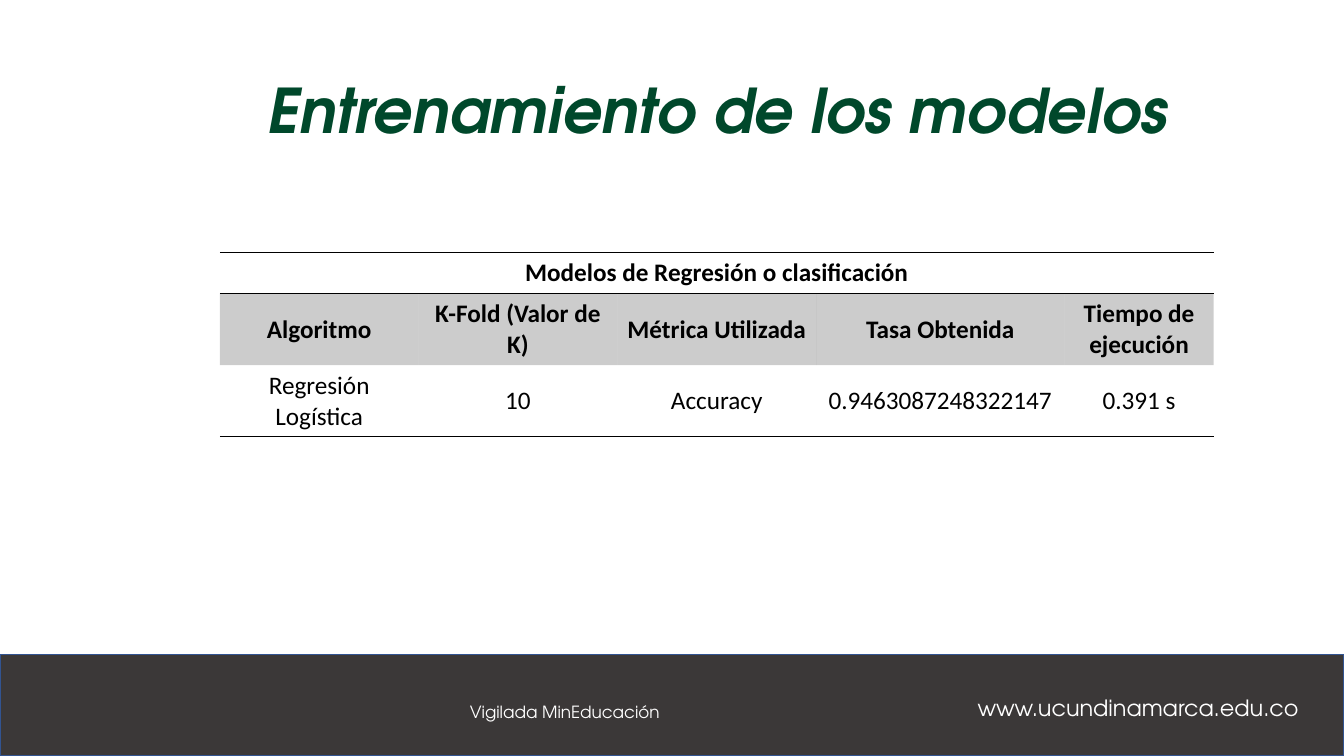
from lxml import etree
from pptx import Presentation
from pptx.dml.color import RGBColor
from pptx.enum.shapes import MSO_SHAPE
from pptx.enum.text import MSO_ANCHOR, PP_ALIGN
from pptx.oxml import parse_xml
from pptx.oxml.ns import nsdecls, qn
from pptx.util import Pt

RECT = MSO_SHAPE.RECTANGLE
MIDDLE, TOP = MSO_ANCHOR.MIDDLE, MSO_ANCHOR.TOP
LEFT, CENTER = PP_ALIGN.LEFT, PP_ALIGN.CENTER
COLORS = {"green": "00482B", "dark": "3B3838", "edge": "325491",
          "white": "FFFFFF", "black": "000000"}
NO_STYLE = "{2D5ABB26-0587-4C30-8999-92F81FD0307C}"


class Page:
    head_font = "TeX Gyre Adventor"
    cell_font = "Calibri"

    def __init__(self, slide):
        self.slide = slide

    def color(self, name):
        return RGBColor.from_string(COLORS[name])

    def place(self, shape, box):
        shape.left, shape.top, shape.width, shape.height = map(Pt, box)

    def add_text(self, frame, text, size, color, font, align=CENTER,
                 bold=False, italic=False, space=None):
        para = frame.paragraphs[0]
        para.alignment = align
        para.line_spacing = space
        run = para.add_run()
        run.text = text
        run.font.name = font
        run.font.size = Pt(size)
        run.font.bold = bold
        run.font.italic = italic
        run.font.color.rgb = self.color(color)

    def title(self, text, box):
        shape = self.slide.shapes.title
        self.place(shape, box)
        shape.text_frame.word_wrap = True
        shape.text_frame.vertical_anchor = MIDDLE
        self.add_text(shape.text_frame, text, 44, "green", self.head_font,
                      LEFT, True, True, 0.9)

    def band(self, box):
        shape = self.slide.shapes.add_shape(RECT, *map(Pt, box))
        shape.shadow.inherit = False
        shape.fill.solid()
        shape.fill.fore_color.rgb = self.color("dark")
        shape.line.color.rgb = self.color("edge")
        shape.line.width = Pt(1)

    def label(self, text, box, size):
        frame = self.slide.shapes.add_textbox(*map(Pt, box)).text_frame
        frame.word_wrap = True
        frame.vertical_anchor = TOP
        self.add_text(frame, text, size, "white", self.head_font, space=0.9)

    def border(self, cell, sides):
        props = cell._tc.get_or_add_tcPr()
        for spot, side in enumerate(sides):
            props.insert(spot, parse_xml(
                f'<a:ln{side} {nsdecls("a")} w="12700"><a:solidFill>'
                f'<a:srgbClr val="{COLORS["black"]}"/></a:solidFill></a:ln{side}>'))

    def shade(self, cell, alpha):
        cell.fill.solid()
        cell.fill.fore_color.rgb = self.color("black")
        tint = cell._tc.tcPr.find(".//" + qn("a:srgbClr"))
        etree.SubElement(tint, qn("a:alpha"), val=str(alpha * 1000))

    def table(self, rows, left, top, widths, heights):
        frame = self.slide.shapes.add_table(
            len(rows), len(widths), Pt(left), Pt(top),
            Pt(sum(widths)), Pt(sum(heights)))
        table = frame.table
        table.first_row = table.horz_banding = False
        table._tbl.tblPr.find(qn("a:tableStyleId")).text = NO_STYLE
        for col, width in zip(table.columns, widths):
            col.width = Pt(width)
        for row, height in zip(table.rows, heights):
            row.height = Pt(height)
        table.cell(0, 0).merge(table.cell(0, len(widths) - 1))
        edges = ("TB", "", "B")
        for r, texts in enumerate(rows):
            for c in range(len(widths)):
                cell = table.cell(r, c)
                cell.vertical_anchor = MIDDLE
                if r == 1:
                    self.shade(cell, 20)
                else:
                    cell.fill.background()
                self.border(cell, edges[r])
                if c < len(texts):
                    self.add_text(cell.text_frame, texts[c], 18, "black",
                                  self.cell_font, bold=r < 2)


def main():
    deck = Presentation()
    deck.slide_width, deck.slide_height = Pt(960), Pt(540)
    page = Page(deck.slides.add_slide(deck.slide_layouts[5]))
    page.band((0, 467.5, 960, 72.5))
    page.label("www.ucundinamarca.edu.co", (681, 494.5, 264, 29), 16)
    page.label("Vigilada MinEducación", (271.5, 499, 264, 25), 12)
    page.title("Entrenamiento de los modelos", (183.6, 28.8, 710.6, 104.4))
    rows = [
        ["Modelos de Regresión o clasificación"],
        ["Algoritmo", "K-Fold (Valor de K)", "Métrica Utilizada",
         "Tasa Obtenida", "Tiempo de ejecución"],
        ["Regresión Logística", "10", "Accuracy",
         "0.9463087248322147", "0.391 s"],
    ]
    page.table(rows, 157, 180.4, (142, 142, 142, 177.4, 106.6),
               (29.3, 51.2, 51.2))
    deck.save("out.pptx")


if __name__ == "__main__":
    main()
